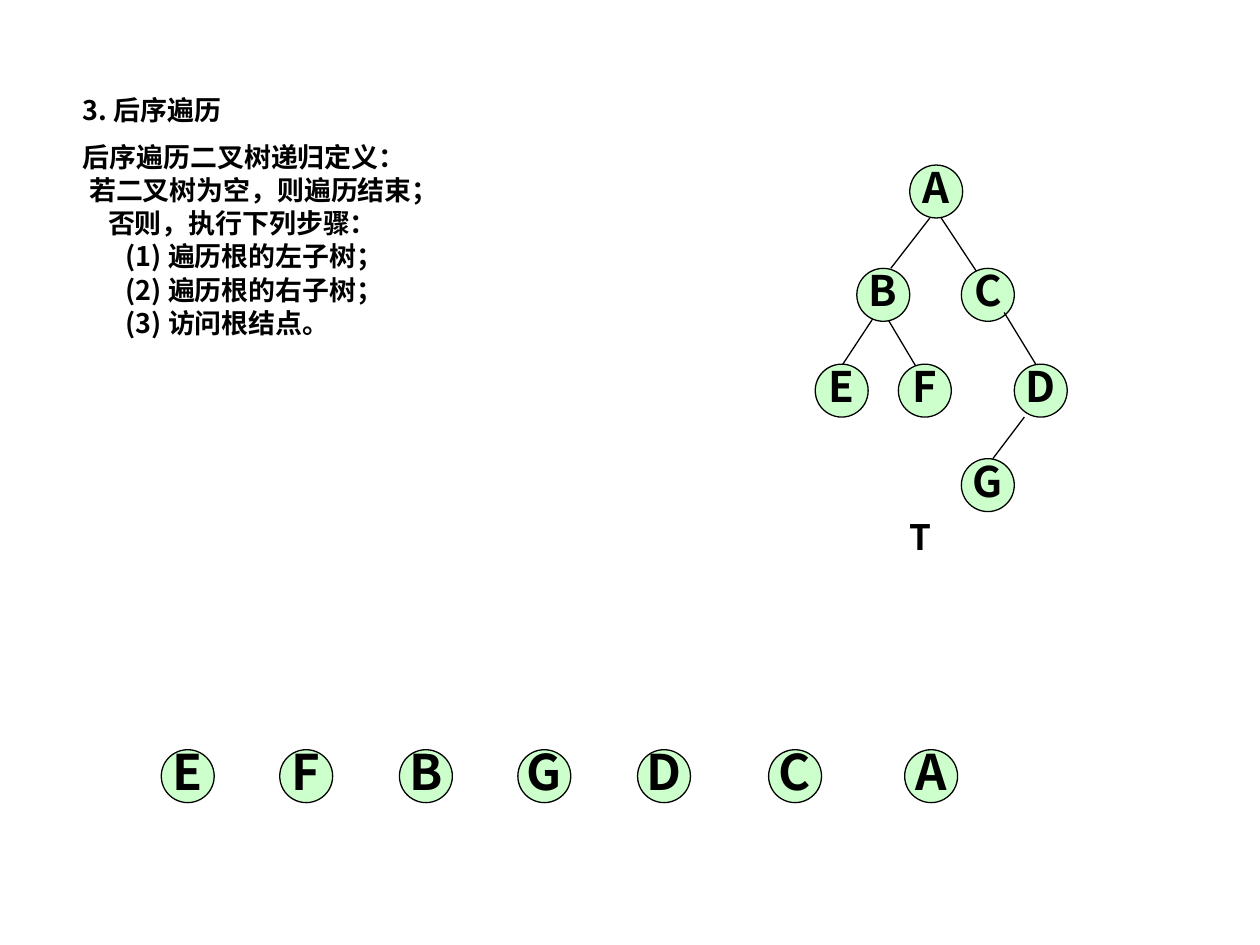
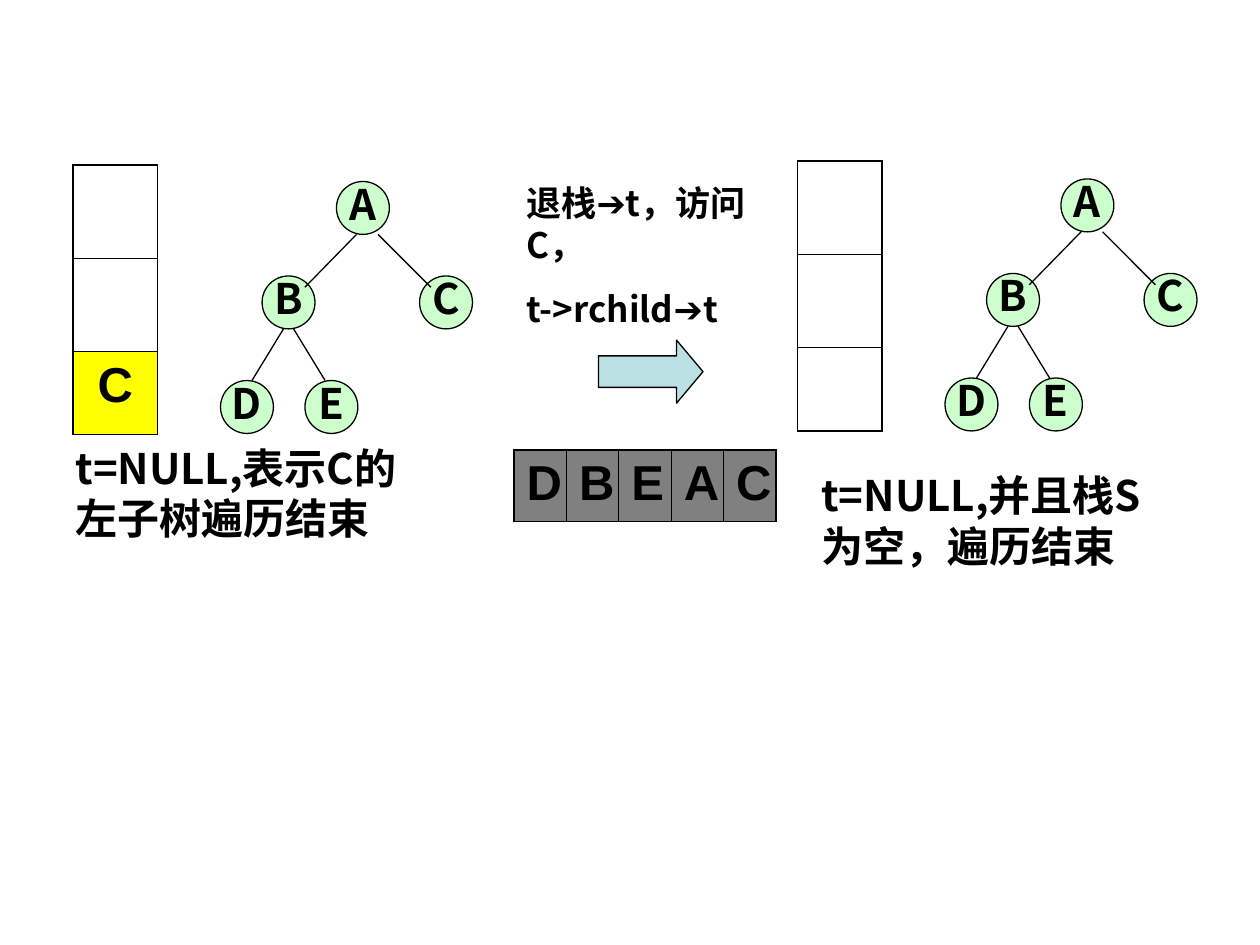
from dataclasses import dataclass
from typing import Any

from lxml import etree
from pptx import Presentation
from pptx import util as u
from pptx.dml import color
from pptx.enum import shapes, text
from pptx.oxml import ns
from pptx.slide import Slide

COLORS = {
    "ink": "000000",
    "node": "CCFFCC",
    "arrow": "BBE0E3",
    "stack_top": "FFFF00",
    "visited": "808080",
}
CJK = "Noto Sans CJK SC"
LATIN = "Arial"
NODE_SIZE = 0.42
OUTER, INNER = 1.08, 0.45


@dataclass(frozen=True)
class Node:
    label: str
    x: float
    y: float
    size: float = 24


@dataclass(frozen=True)
class Edge:
    x1: float
    y1: float
    x2: float
    y2: float


@dataclass(frozen=True)
class Line:
    runs: tuple[tuple[str, str], ...]
    size: float
    indent: float = 0
    before: float = 0
    spacing: float = 1.0


@dataclass(frozen=True)
class Grid:
    x: float
    y: float
    widths: tuple[float, ...]
    heights: tuple[float, ...]
    labels: tuple[str, ...]
    fill: str
    align: Any


def rgb(name: str) -> color.RGBColor:
    return color.RGBColor.from_string(COLORS[name])


def apply(target: Any, formats: dict[str, Any]) -> None:
    for key, value in formats.items():
        setattr(target, key, value)


def add_run(paragraph: Any, words: str, size: float, face: str) -> None:
    run = paragraph.add_run()
    run.text = words
    apply(run.font, {"size": u.Pt(size), "bold": True, "name": face})
    run.font.color.rgb = rgb("ink")
    etree.SubElement(run.font._element, ns.qn("a:ea"), typeface=face)


def outline(figure: Any) -> None:
    figure.line.color.rgb = rgb("ink")
    figure.line.width = u.Pt(0.75)


def draw_shape(slide: Slide, kind: Any, box: tuple[float, ...], fill: str) -> Any:
    figure = slide.shapes.add_shape(kind, *map(u.Inches, box))
    figure.shadow.inherit = False
    figure.fill.solid()
    figure.fill.fore_color.rgb = rgb(fill)
    outline(figure)
    return figure


def draw_node(slide: Slide, node: Node, x: float, y: float) -> None:
    box = (x + node.x, y + node.y, NODE_SIZE, NODE_SIZE)
    circle = draw_shape(slide, shapes.MSO_SHAPE.OVAL, box, "node")
    frame = circle.text_frame
    apply(frame, {"word_wrap": False, "vertical_anchor": text.MSO_ANCHOR.MIDDLE})
    label = frame.paragraphs[0]
    apply(label, {"alignment": text.PP_ALIGN.CENTER, "line_spacing": 0.8})
    add_run(label, node.label, node.size, CJK)


def draw_edge(slide: Slide, edge: Edge, x: float, y: float) -> None:
    ends = (x + edge.x1, y + edge.y1, x + edge.x2, y + edge.y2)
    branch = slide.shapes.add_connector(
        shapes.MSO_CONNECTOR.STRAIGHT, *map(u.Inches, ends))
    outline(branch)
    etree.SubElement(branch._element.spPr, ns.qn("a:effectLst"))


def draw_tree(slide: Slide, parts: tuple[Node | Edge, ...],
              x: float = 0, y: float = 0) -> None:
    for part in parts:
        draw = draw_node if isinstance(part, Node) else draw_edge
        draw(slide, part, x, y)


def draw_text(slide: Slide, box: tuple[float, ...], lines: tuple[Line, ...],
              wrap: bool = True) -> None:
    frame = slide.shapes.add_textbox(*map(u.Inches, box)).text_frame
    frame.word_wrap = wrap
    for number, line in enumerate(lines):
        paragraph = frame.add_paragraph() if number else frame.paragraphs[0]
        apply(paragraph, {"line_spacing": line.spacing})
        if number:
            paragraph.space_before = u.Pt(line.before)
        if line.indent:
            paragraph._p.get_or_add_pPr().set("marL", str(u.Inches(line.indent)))
        for words, face in line.runs:
            add_run(paragraph, words, line.size, face)


def draw_grid(slide: Slide, grid: Grid) -> None:
    rows, columns = len(grid.heights), len(grid.widths)
    size = (grid.x, grid.y, sum(grid.widths), sum(grid.heights))
    table = slide.shapes.add_table(rows, columns, *map(u.Inches, size)).table
    apply(table, {"first_row": False, "horz_banding": False})
    for column, width in zip(table.columns, grid.widths):
        column.width = u.Inches(width)
    for row, height in zip(table.rows, grid.heights):
        row.height = u.Inches(height)
    for index, label in enumerate(grid.labels):
        r, c = divmod(index, columns)
        cell = table.cell(r, c)
        on_rim = {"lnL": c == 0, "lnR": c == columns - 1,
                  "lnT": r == 0, "lnB": r == rows - 1}
        for side, outer in on_rim.items():
            border = etree.SubElement(
                cell._tc.get_or_add_tcPr(), ns.qn(f"a:{side}"),
                w=str(u.Pt(OUTER if outer else INNER)))
            solid = etree.SubElement(border, ns.qn("a:solidFill"))
            etree.SubElement(solid, ns.qn("a:srgbClr"), val=COLORS["ink"])
        if label:
            cell.fill.solid()
            cell.fill.fore_color.rgb = rgb(grid.fill)
            paragraph = cell.text_frame.paragraphs[0]
            paragraph.alignment = grid.align
            add_run(paragraph, label, 28, LATIN)
        else:
            cell.fill.background()


def step(words: str, indent: float = 0, before: float = 5.6) -> Line:
    return Line(((words, CJK),), 15.4, indent, before, 0.72)


POSTORDER = (
    step("3. 后序遍历"),
    step("后序遍历二叉树递归定义：", before=13.6),
    step("若二叉树为空，则遍历结束；", 0.05),
    step("否则，执行下列步骤：", 0.2),
    step("(1) 遍历根的左子树；", 0.34),
    step("(2) 遍历根的右子树；", 0.34),
    step("(3) 访问根结点。", 0.34),
)
SEVEN_NODE_TREE = (
    Edge(7.38, 1.73, 7.07, 2.13),
    Edge(7.47, 1.73, 7.8, 2.23),
    Node("C", 7.63, 2.13),
    Node("A", 7.22, 1.31),
    Node("D", 8.05, 2.89),
    Edge(7.97, 2.48, 8.22, 2.89),
    Node("G", 7.63, 3.64),
    Edge(8.13, 3.31, 7.88, 3.64),
    Edge(7.05, 2.54, 7.3, 2.96),
    Edge(6.96, 2.48, 6.63, 2.98),
    Node("B", 6.8, 2.13),
    Node("E", 6.47, 2.89),
    Node("F", 7.13, 2.89),
)
VISIT_ORDER = "EFBGDCA"
VISIT_LEFTS = (1.28, 2.22, 3.17, 4.11, 5.06, 6.1, 7.18)
FIVE_NODE_TREE = (
    Node("A", 0, 0),
    Node("B", -0.59, 0.75),
    Edge(0.16, 0.42, -0.25, 0.84),
    Node("C", 0.66, 0.75),
    Edge(0.33, 0.42, 0.75, 0.84),
    Node("D", -0.92, 1.58),
    Edge(-0.42, 1.17, -0.67, 1.58),
    Node("E", -0.25, 1.58),
    Edge(-0.34, 1.17, -0.09, 1.58),
)


def draw_postorder(slide: Slide) -> None:
    draw_text(slide, (0.56, 0.76, 5.49, 2.62), POSTORDER)
    draw_text(slide, (7.12, 4.04, 0.36, 0.44), (Line((("T", CJK),), 20),), False)
    draw_tree(slide, SEVEN_NODE_TREE)
    for label, left in zip(VISIT_ORDER, VISIT_LEFTS):
        draw_node(slide, Node(label, left, 5.95, 28), 0, 0)


def draw_stack_step(slide: Slide) -> None:
    actions = (
        Line((("退栈", CJK), ("➔", LATIN), ("t，访问C，", CJK)), 20),
        Line((("t->rchild", CJK), ("➔", LATIN), ("t", CJK)), 20, before=12.5),
    )
    draw_text(slide, (4.08, 1.39, 2.17, 1.28), actions)
    arrow = draw_shape(slide, shapes.MSO_SHAPE.RIGHT_ARROW,
                       (4.75, 2.7, 0.83, 0.5), "arrow")
    arrow.adjustments[1] = 0.42
    stack_rows = (0.74, 0.74, 0.66)
    for x, y, top in ((6.33, 1.28, ""), (0.58, 1.31, "C")):
        draw_grid(slide, Grid(x, y, (0.67,), stack_rows, ("", "", top),
                              "stack_top", text.PP_ALIGN.CENTER))
    for x, y in ((8.42, 1.42), (2.67, 1.44)):
        draw_tree(slide, FIVE_NODE_TREE, x, y)
    captions = (
        ((6.42, 3.68, 2.83, 0.9), "t=NULL,并且栈S为空，遍历结束"),
        ((0.5, 3.46, 2.92, 0.9), "t=NULL,表示C的左子树遍历结束"),
    )
    for box, words in captions:
        draw_text(slide, box, (Line(((words, CJK),), 24),))
    draw_grid(slide, Grid(4.08, 3.57, (2.08 / 5,) * 5, (0.57,), tuple("DBEAC"),
                          "visited", text.PP_ALIGN.LEFT))


def main() -> None:
    deck = Presentation()
    apply(deck, {"slide_width": u.Inches(10), "slide_height": u.Inches(7.5)})
    for draw in (draw_postorder, draw_stack_step):
        draw(deck.slides.add_slide(deck.slide_layouts[6]))
    deck.save("out.pptx")


if __name__ == "__main__":
    main()
